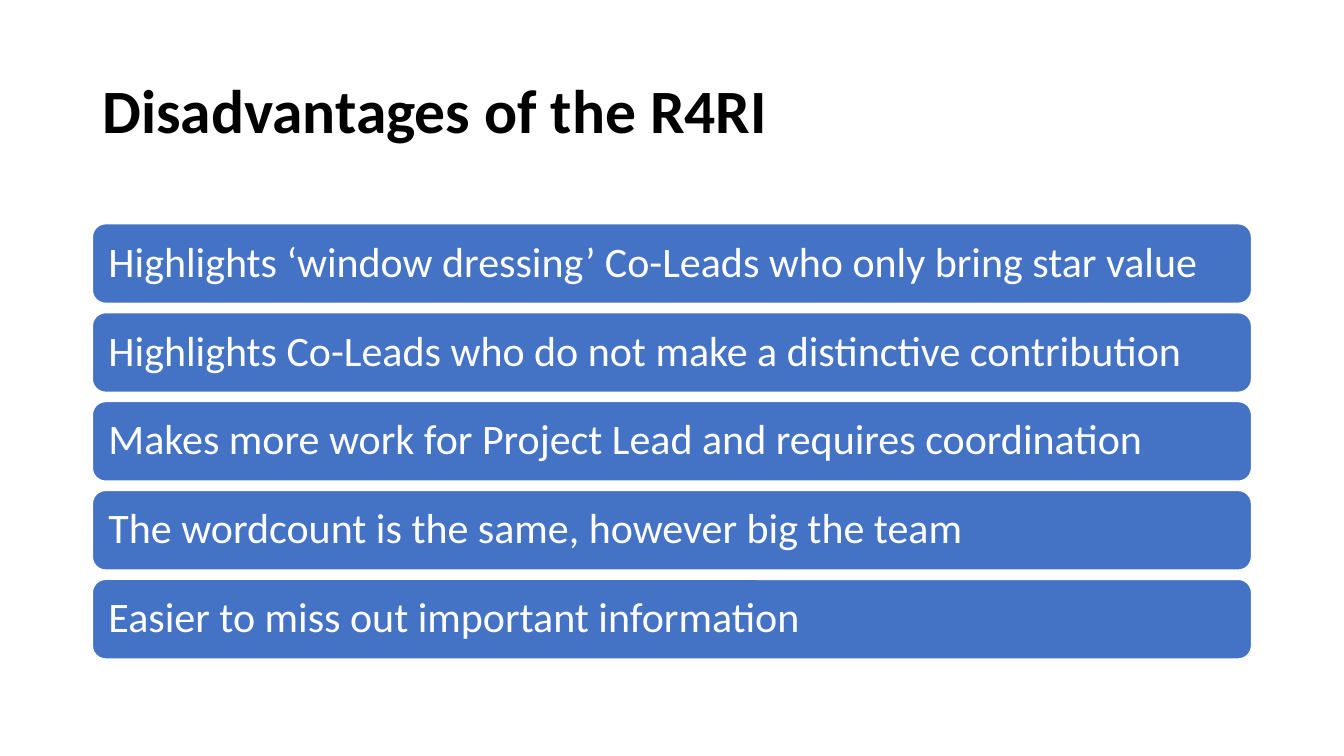
"""Builds the slide on the disadvantages of the R4RI."""
from pptx import Presentation
from pptx.dml.color import RGBColor
from pptx.enum.shapes import MSO_SHAPE
from pptx.enum.text import MSO_ANCHOR, PP_ALIGN
from pptx.util import Pt

TITLE = "Disadvantages of the R4RI"
DRAWBACKS = [
    "Highlights ‘window dressing’ Co-Leads who only bring star value",
    "Highlights Co-Leads who do not make a distinctive contribution",
    "Makes more work for Project Lead and requires coordination",
    "The wordcount is the same, however big the team",
    "Easier to miss out important information",
]
THEME = {
    "font": "Calibri",
    "ink": RGBColor(0x00, 0x00, 0x00),
    "bar": RGBColor(0x44, 0x72, 0xC4),
    "white": RGBColor(0xFF, 0xFF, 0xFF),
    "title_size": 44,
    "bar_size": 30,
}
LEFT, WIDTH = 66, 828
TITLE_TOP, TITLE_HEIGHT = 28.75, 104.4
BAR_TOP, BAR_HEIGHT, BAR_GAP = 159.8, 56.9, 6.6


def write(sp, text, *, size, color, bold=False, margin=7.2):
    tf = sp.text_frame
    tf.word_wrap = True
    tf.vertical_anchor = MSO_ANCHOR.MIDDLE
    tf.margin_left = tf.margin_right = Pt(margin)
    p = tf.paragraphs[0]
    p.alignment = PP_ALIGN.LEFT
    p.line_spacing = 0.9
    r = p.add_run()
    r.text = text
    r.font.name = THEME["font"]
    r.font.size = Pt(size)
    r.font.bold = bold
    r.font.color.rgb = color


def add_bar(s, top, text):
    sp = s.shapes.add_shape(MSO_SHAPE.ROUNDED_RECTANGLE, Pt(LEFT), Pt(top), Pt(WIDTH), Pt(BAR_HEIGHT))
    sp.shadow.inherit = False
    sp.fill.solid()
    sp.fill.fore_color.rgb = THEME["bar"]
    sp.line.color.rgb = THEME["white"]
    sp.line.width = Pt(1)
    write(sp, text, size=THEME["bar_size"], color=THEME["white"], margin=8.8)


def main():
    prs = Presentation()
    prs.slide_width, prs.slide_height = Pt(960), Pt(540)
    s = prs.slides.add_slide(prs.slide_layouts[6])
    title = s.shapes.add_textbox(Pt(LEFT), Pt(TITLE_TOP), Pt(WIDTH), Pt(TITLE_HEIGHT))
    write(title, TITLE, size=THEME["title_size"], color=THEME["ink"], bold=True)
    for i, text in enumerate(DRAWBACKS):
        add_bar(s, BAR_TOP + i * (BAR_HEIGHT + BAR_GAP), text)
    prs.save("out.pptx")


if __name__ == "__main__":
    main()
